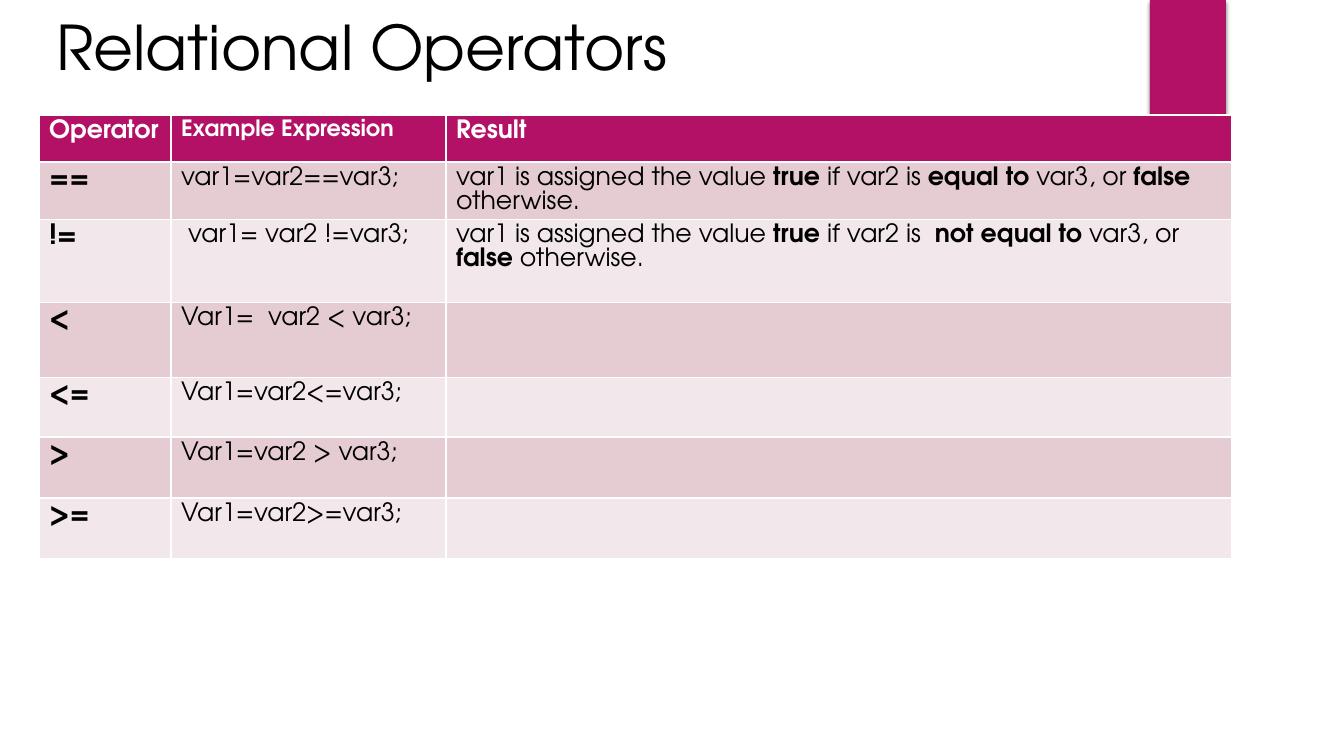
"""Build the Relational Operators slide with its operator table."""
from lxml import etree
from pptx import Presentation
from pptx import util as u
from pptx.dml.color import RGBColor
from pptx.enum import shapes, text
from pptx.oxml import ns

PX = 914400 / 100.8
FONT = "TeX Gyre Adventor"
MAGENTA = RGBColor(0xB3, 0x11, 0x66)
ROSE = RGBColor(0xE5, 0xCC, 0xD3)
PALE = RGBColor(0xF2, 0xE7, 0xEA)
WHITE = RGBColor(0xFF, 0xFF, 0xFF)
BLACK = RGBColor(0, 0, 0)

COLUMNS = [132, 275, 786]
HEIGHTS = [47, 57, 83, 75, 60, 61, 61]
ROWS = [
    ["Operator", "Example Expression", ["Result"]],
    ["==", "var1=var2==var3;",
     ["var1 is assigned the value ", "true", " if var2 is ", "equal to",
      " var3, or ", "false", " otherwise."]],
    ["!=", " var1= var2 !=var3;",
     ["var1 is assigned the value ", "true", " if var2 is  ", "not equal to ",
      "var3, or ", "false", " otherwise."]],
    ["<", "Var1=  var2 < var3;", []],
    ["<=", "Var1=var2<=var3;", []],
    [">", "Var1=var2 > var3;", []],
    [">=", "Var1=var2>=var3;", []],
]


def px(*lengths):
    return [u.Emu(round(n * PX)) for n in lengths]


def style(font, size, color, bold=False):
    font.name, font.size, font.bold = FONT, u.Pt(size), bold
    font.color.rgb = color


prs = Presentation()
prs.slide_width, prs.slide_height = px(1344, 756)
s = prs.slides.add_slide(prs.slide_layouts[5])

tab = s.shapes.add_shape(shapes.MSO_SHAPE.RECTANGLE, *px(1150, 0, 76, 126))
tab.fill.solid()
tab.fill.fore_color.rgb = MAGENTA
tab.line.fill.background()
tab.shadow.inherit = False
effects = tab._element.spPr.find(ns.qn("a:effectLst"))
shadow = etree.SubElement(effects, ns.qn("a:outerShdw"), blurRad="38100",
                          dist="25400", dir="5400000", rotWithShape="0")
tint = etree.SubElement(shadow, ns.qn("a:srgbClr"), val="000000")
etree.SubElement(tint, ns.qn("a:alpha"), val="45000")

title = s.shapes.title
title.left, title.top, title.width, title.height = px(46, 0, 1159, 102)
tf = title.text_frame
tf.text = "Relational Operators"
tf.auto_size = text.MSO_AUTO_SIZE.NONE
tf.vertical_anchor = text.MSO_ANCHOR.MIDDLE
p = tf.paragraphs[0]
p.alignment = text.PP_ALIGN.LEFT
p.line_spacing = 0.9
style(p.font, 44, BLACK)

table = s.shapes.add_table(len(ROWS), len(COLUMNS),
                           *px(39, 115, sum(COLUMNS), sum(HEIGHTS))).table
for column, width in zip(table.columns, px(*COLUMNS)):
    column.width = width
for row, height in zip(table.rows, px(*HEIGHTS)):
    row.height = height

for i, (operator, example, result) in enumerate(ROWS):
    header = i == 0
    fill = MAGENTA if header else ROSE if i % 2 else PALE
    color = WHITE if header else BLACK
    sizes = [18, 16, 18] if header else [20, 18, 18]
    for j, parts in enumerate([[operator], [example], result]):
        cell = table.cell(i, j)
        cell.fill.solid()
        cell.fill.fore_color.rgb = fill
        p = cell.text_frame.paragraphs[0]
        style(p.font, sizes[j], color, header or j == 0)
        for k, part in enumerate(parts):
            r = p.add_run()
            r.text = part
            if k % 2:
                r.font.bold = True

prs.save("out.pptx")
